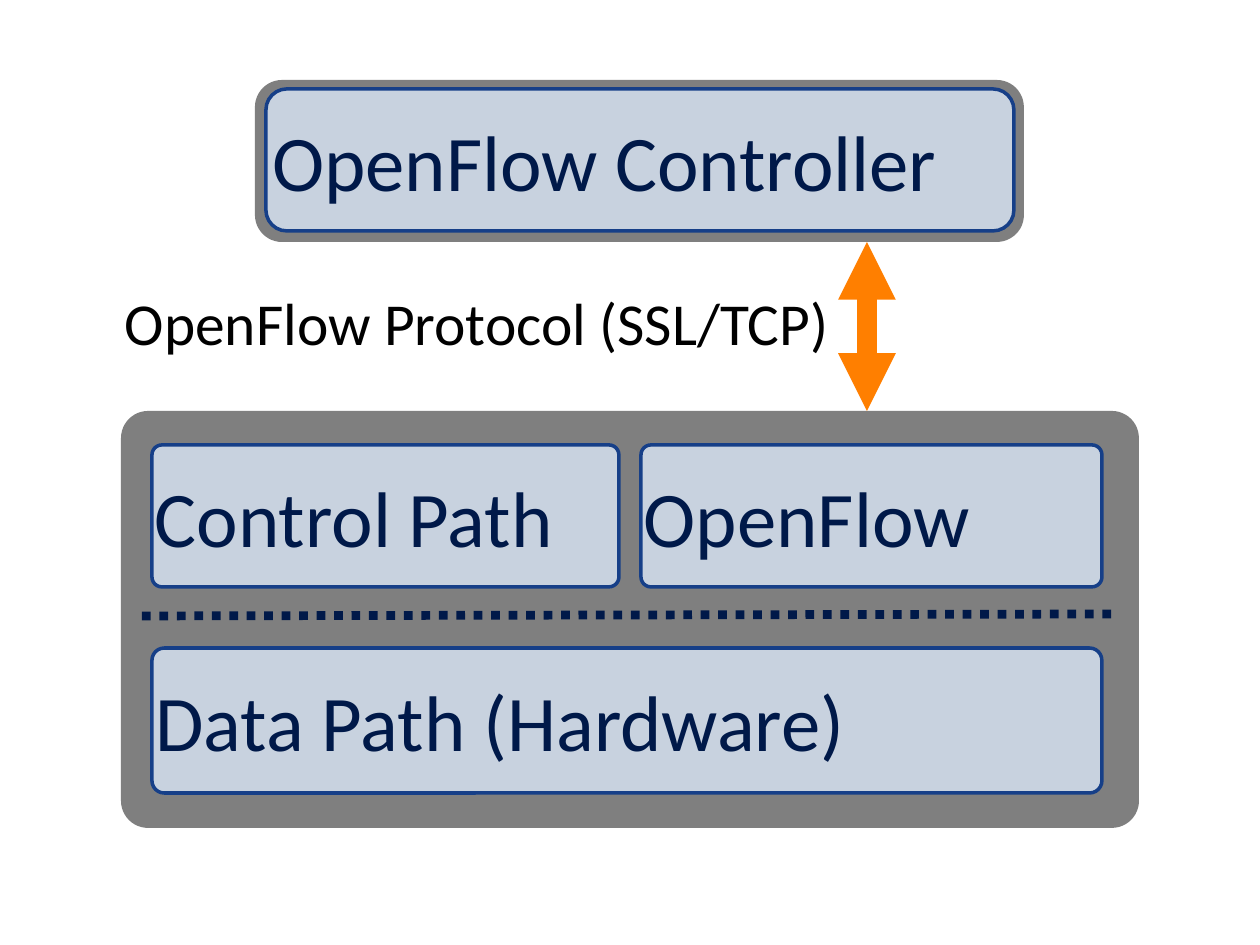
from dataclasses import dataclass

from lxml import etree
from pptx import Presentation
from pptx import util as u
from pptx.dml.color import RGBColor
from pptx.enum import dml, shapes, text
from pptx.oxml.ns import qn

PX = u.Inches(1) // 126
FONT = "Calibri"
GREY, PALE, BLUE, NAVY = "7F7F7F", "C8D2DF", "163F88", "001949"
ORANGE, BLACK = "FF7F00", "000000"


@dataclass
class Box:
    left: int
    top: int
    width: int
    height: int
    rounding: float
    label: str = ""  # a box without a label is a grey backing panel


@dataclass
class Line:
    start: tuple[int, int]
    end: tuple[int, int]
    color: str
    points: int
    dotted: bool = False
    arrows: bool = False


SWITCH = [
    Box(121, 411, 1018, 417, 0.065),
    Box(152, 648, 950, 145, 0.085, "Data Path (Hardware)"),
    Box(152, 445, 467, 142, 0.07, "Control Path"),
    Box(641, 445, 461, 142, 0.07, "OpenFlow"),
]
CONTROLLER = [
    Box(255, 80, 769, 162, 0.167),
    Box(266, 89, 748, 142, 0.147, "OpenFlow Controller"),
]
LINES = [
    Line((142, 616), (1118, 614), NAVY, 5, dotted=True),
    Line((867, 242), (867, 411), ORANGE, 11, arrows=True),
]


def rgb(color: str) -> RGBColor:
    return RGBColor.from_string(color)


def write(shape, words: str, points: int, color: str, wrap: bool) -> None:
    frame = shape.text_frame
    frame.word_wrap = wrap
    frame.vertical_anchor = text.MSO_ANCHOR.MIDDLE
    frame.margin_left = frame.margin_top = frame.margin_right = frame.margin_bottom = 0
    paragraph = frame.paragraphs[0]
    paragraph.text = words
    paragraph.alignment = text.PP_ALIGN.LEFT
    paragraph.font.name = FONT
    paragraph.font.size = u.Pt(points)
    paragraph.font.color.rgb = rgb(color)


def draw_box(slide, box: Box) -> None:
    shape = slide.shapes.add_shape(
        shapes.MSO_SHAPE.ROUNDED_RECTANGLE,
        box.left * PX, box.top * PX, box.width * PX, box.height * PX,
    )
    shape.adjustments[0] = box.rounding
    shape.shadow.inherit = False
    shape.fill.solid()
    shape.fill.fore_color.rgb = rgb(PALE if box.label else GREY)
    if box.label:
        shape.line.color.rgb = rgb(BLUE)
        shape.line.width = u.Pt(2)
        write(shape, box.label, 45, NAVY, wrap=True)
    else:
        shape.line.fill.background()


def draw_line(slide, line: Line) -> None:
    ends = [value * PX for value in (*line.start, *line.end)]
    connector = slide.shapes.add_connector(shapes.MSO_CONNECTOR.STRAIGHT, *ends)
    connector.line.color.rgb = rgb(line.color)
    connector.line.width = u.Pt(line.points)
    if line.dotted:
        connector.line.dash_style = dml.MSO_LINE.ROUND_DOT
    properties = connector._element.spPr
    if line.arrows:
        outline = properties.find(qn("a:ln"))
        for tag in ("a:headEnd", "a:tailEnd"):
            etree.SubElement(outline, qn(tag), type="triangle")
    etree.SubElement(properties, qn("a:effectLst"))


def main() -> None:
    presentation = Presentation()
    presentation.slide_width = u.Inches(10)
    presentation.slide_height = u.Inches(7.5)
    slide = presentation.slides.add_slide(presentation.slide_layouts[6])
    for box in SWITCH + CONTROLLER:
        draw_box(slide, box)
    for line in LINES:
        draw_line(slide, line)
    caption = slide.shapes.add_textbox(125 * PX, 286 * PX, 707 * PX, 72 * PX)
    write(caption, "OpenFlow Protocol (SSL/TCP)", 34, BLACK, wrap=False)
    presentation.save("out.pptx")


if __name__ == "__main__":
    main()
